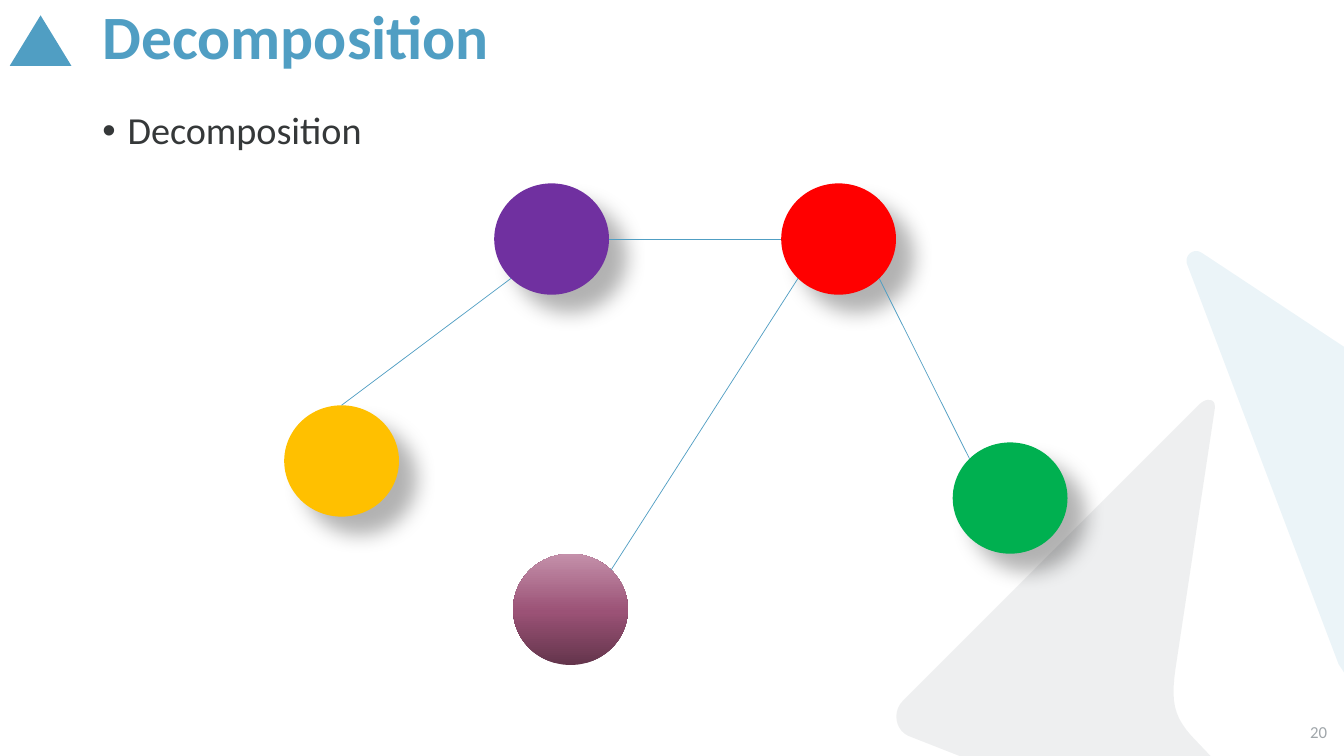
from copy import deepcopy
from dataclasses import dataclass
from math import cos, radians, sin

from lxml import etree
from pptx import Presentation
from pptx import util as u
from pptx.dml.color import RGBColor
from pptx.enum import shapes, text
from pptx.oxml.ns import qn


@dataclass(frozen=True)
class Theme:
    font: str = "Calibri"
    blue: str = "509EC3"
    grey: str = "66747C"
    ink: str = "353839"
    muted: str = "A0A6AA"
    shadow: str = "000000"
    red: str = "FF0000"
    green: str = "00B050"
    purple: str = "7030A0"
    yellow: str = "FFC000"
    plum: tuple = ((0, "64354C"), (0.48, "9B5276"), (1, "C490AA"))
    title_size: float = 44
    body_size: float = 27.3
    number_size: float = 12


def add_node(parent, tag, **attributes):
    node = etree.SubElement(parent, qn(tag))
    for name, value in attributes.items():
        node.set(name, str(value))
    return node


def write(box, words, size, color, font, bold=False, align=text.PP_ALIGN.LEFT,
          anchor=text.MSO_ANCHOR.MIDDLE, spacing=1.0, bullet=None, indent=0):
    frame = box.text_frame
    frame.word_wrap = True
    frame.auto_size = text.MSO_AUTO_SIZE.NONE
    frame.vertical_anchor = anchor
    para = frame.paragraphs[0]
    para.alignment = align
    para.line_spacing = spacing
    para.space_before = u.Pt(0)
    if bullet:
        properties = para._p.get_or_add_pPr()
        properties.set("marL", str(u.Pt(indent)))
        properties.set("indent", str(u.Pt(-indent)))
        add_node(properties, "a:buFont", typeface="Arial")
        add_node(properties, "a:buChar", char=bullet)
    span = para.add_run()
    span.text = words
    span.font.name = font
    span.font.size = u.Pt(size)
    span.font.bold = bold
    span.font.color.rgb = RGBColor.from_string(color)


def curve(start, first, second, end, steps=10):
    points = []
    for step in range(1, steps + 1):
        t = step / steps
        weights = (1 - t) ** 3, 3 * t * (1 - t) ** 2, 3 * t * t * (1 - t), t ** 3
        points.append(tuple(
            sum(w * p[axis] for w, p in zip(weights, (start, first, second, end)))
            for axis in (0, 1)))
    return points


class SlideBuilder:
    def __init__(self, slide, theme):
        self.slide = slide
        self.theme = theme

    def place(self, box, left, top, width, height):
        box.left, box.top = u.Pt(left), u.Pt(top)
        box.width, box.height = u.Pt(width), u.Pt(height)
        return box

    def paint(self, shape, color):
        shape.shadow.inherit = False
        shape.fill.solid()
        shape.fill.fore_color.rgb = RGBColor.from_string(color)
        shape.line.fill.background()

    def backdrop(self, start, segments, color, opacity):
        points = [start]
        for segment in segments:
            if len(segment) == 3:
                points += curve(points[-1], *segment)
            else:
                points += segment
        builder = self.slide.shapes.build_freeform(
            u.Pt(start[0]), u.Pt(start[1]), scale=1.0)
        builder.add_line_segments([(u.Pt(x), u.Pt(y)) for x, y in points[1:]])
        shape = builder.convert_to_shape()
        self.paint(shape, color)
        solid = shape._element.spPr.find(qn("a:solidFill"))
        add_node(solid[0], "a:alpha", val=opacity * 1000)
        self.slide.shapes._spTree.insert(2, shape._element)

    def mark(self, left, top, width, height):
        shape = self.slide.shapes.add_shape(
            shapes.MSO_SHAPE.ISOSCELES_TRIANGLE,
            u.Pt(left), u.Pt(top), u.Pt(width), u.Pt(height))
        self.paint(shape, self.theme.blue)

    def node(self, group, left, top, width, height, color):
        shape = group.shapes.add_shape(
            shapes.MSO_SHAPE.OVAL,
            u.Pt(left), u.Pt(top), u.Pt(width), u.Pt(height))
        if isinstance(color, str):
            self.paint(shape, color)
            self.cast_shadow(shape)
        else:
            self.paint(shape, color[0][1])
            self.blend(shape, color)
        return shape

    def blend(self, shape, colors):
        shape.fill.gradient()
        shape.fill.gradient_angle = 90
        stop_list = shape._element.spPr.find(qn("a:gradFill")).find(qn("a:gsLst"))
        stop_list.insert(1, deepcopy(stop_list[0]))
        for stop, (position, color) in zip(shape.fill.gradient_stops, colors):
            stop.position = position
            stop.color.rgb = RGBColor.from_string(color)

    def cast_shadow(self, shape):
        effects = shape._element.spPr.find(qn("a:effectLst"))
        outer = add_node(effects, "a:outerShdw", blurRad=u.Pt(15), dist=u.Pt(18),
                         dir=45 * 60000, algn="ctr", rotWithShape=0)
        color = add_node(outer, "a:srgbClr", val=self.theme.shadow)
        add_node(color, "a:alpha", val=30000)

    def edge(self, group, first, first_angle, second, second_angle):
        ends = []
        for shape, angle in ((first, first_angle), (second, second_angle)):
            turn = radians(angle)
            ends.append(int(shape.left + shape.width / 2 * (1 + cos(turn))))
            ends.append(int(shape.top + shape.height / 2 * (1 - sin(turn))))
        line = group.shapes.add_connector(shapes.MSO_CONNECTOR.STRAIGHT, *ends)
        line.line.color.rgb = RGBColor.from_string(self.theme.blue)
        line.line.width = u.Pt(0.5)
        add_node(line._element.spPr, "a:effectLst")


def main():
    theme = Theme()
    deck = Presentation()
    deck.slide_width, deck.slide_height = u.Pt(960), u.Pt(540)
    slide = deck.slides.add_slide(deck.slide_layouts[1])
    page = SlideBuilder(slide, theme)

    page.backdrop((854.6, 179.3), [
        [(856, 179.3), (857.5, 180), (859.7, 181.4)],
        [(960, 247.7), (960, 480.2)], [(956.2, 474.5), (848.2, 189.4)],
        [(846, 184.3), (849.6, 179.3), (854.6, 179.3)]], theme.blue, 11)
    page.backdrop((864, 285.8), [
        [(866.9, 285.8), (868.3, 288), (867.6, 293)], [(839.5, 478.8)],
        [(836.6, 500.4), (838.1, 511.2), (851, 525.6)],
        [(864.7, 540), (685.4, 540)], [(648.7, 525.6)],
        [(639.4, 521.3), (637.2, 508.3), (645.1, 500.4)], [(856.1, 289.4)],
        [(858.2, 287.3), (861.4, 285.1), (864, 285.8)]], theme.grey, 11)
    page.mark(7, 11, 44, 36)

    title = page.place(slide.shapes.title, 66, 0, 816, 57)
    write(title, "Decomposition", theme.title_size, theme.blue, theme.font,
          bold=True, spacing=0.9)
    body = page.place(slide.placeholders[1], 66, 76.3, 816, 408)
    write(body, "Decomposition", theme.body_size, theme.ink, theme.font,
          anchor=text.MSO_ANCHOR.TOP, spacing=0.9, bullet="•", indent=18)
    number = slide.shapes.add_textbox(
        u.Pt(911.5), u.Pt(508.5), u.Pt(43.5), u.Pt(28.5))
    write(number, "20", theme.number_size, theme.muted, theme.font,
          align=text.PP_ALIGN.RIGHT)

    graph = slide.shapes.add_group_shape()
    red, green, plum, purple, yellow = [
        page.node(graph, left, top, 82, 79.5, color)
        for left, top, color in (
            (558, 131, theme.red), (680.5, 316, theme.green),
            (366.5, 395.5, theme.plum), (353, 131, theme.purple),
            (203, 289.5, theme.yellow))]
    for link in ((purple, 0, red, 180), (yellow, 90, purple, 225),
                 (green, 135, red, 315), (plum, 45, red, 225)):
        page.edge(graph, *link)

    deck.save("out.pptx")


if __name__ == "__main__":
    main()
